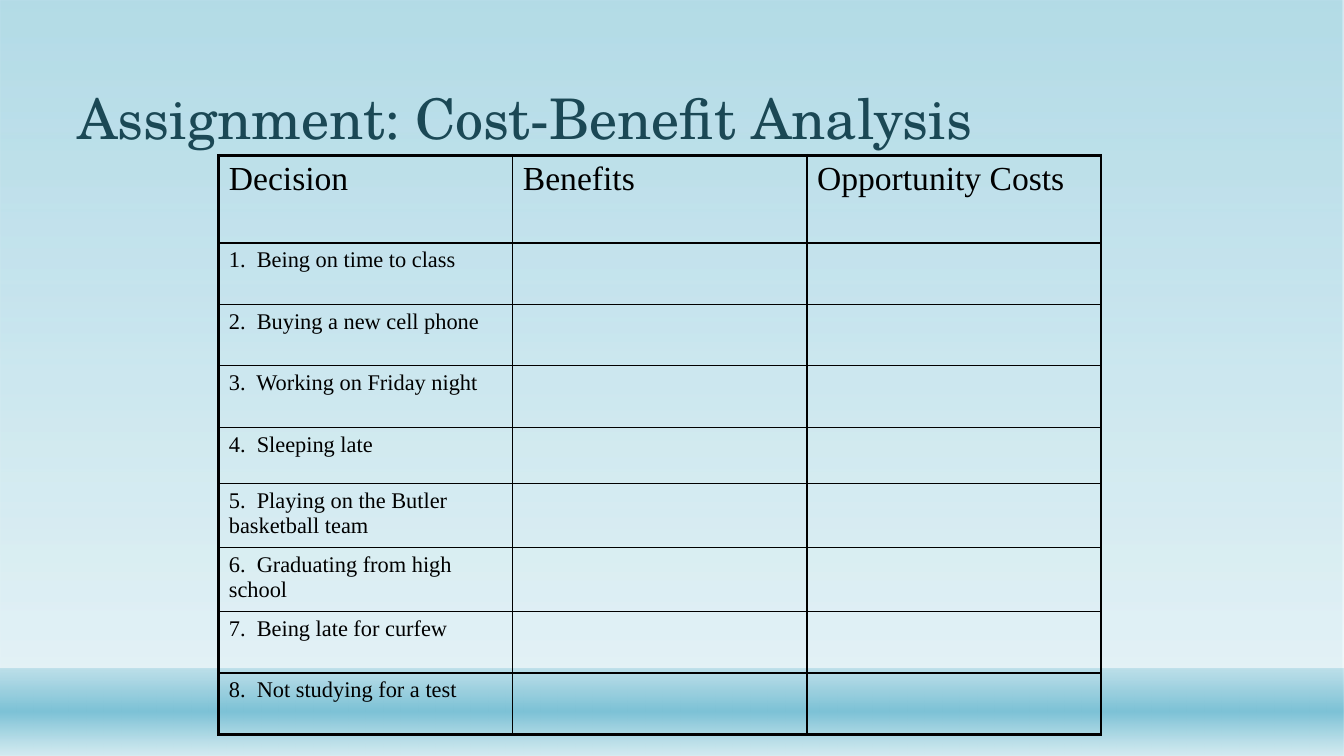
from lxml.etree import SubElement
from pptx import Presentation
from pptx.dml.color import RGBColor
from pptx.enum.shapes import MSO_SHAPE
from pptx.enum.text import MSO_ANCHOR
from pptx.oxml.ns import qn
from pptx.util import Inches, Pt

TITLE = "Assignment: Cost-Benefit Analysis"
HEADINGS = ["Decision", "Benefits", "Opportunity Costs"]
DECISIONS = [
    "Being on time to class",
    "Buying a new cell phone",
    "Working on Friday night",
    "Sleeping late",
    "Playing on the Butler basketball team",
    "Graduating from high school",
    "Being late for curfew",
    "Not studying for a test",
]
ROW_HEIGHTS = [0.87, 0.61, 0.61, 0.61, 0.56, 0.62, 0.61, 0.61, 0.61]
WIDTH, HEIGHT = 13.33, 7.5
TABLE_LEFT, TABLE_TOP, TABLE_WIDTH = 2.17, 1.54, 8.75
BAND_TOP = 6.63
SKY = [(0, "7DC2D6", 58), (88, "D4EBF1", 65)]
WATER = [(1, "7DC2D6", 38), (49, "7DC2D6", 100), (100, "D4EBF1", 89)]
INK, TEAL = "000000", "1B4855"
OUTER, INNER = 2.25, 1


def style(paragraph, face, size, color):
    """Set the font of a paragraph's runs."""
    for run in paragraph.runs:
        run.font.name = face
        run.font.size = Pt(size)
        run.font.color.rgb = RGBColor.from_string(color)


def add_backdrop(slide, top, height, stops):
    """Add a full-width rectangle with a vertical, translucent gradient."""
    backdrop = slide.shapes.add_shape(
        MSO_SHAPE.RECTANGLE, 0, Inches(top), Inches(WIDTH), Inches(height))
    backdrop.shadow.inherit = False
    backdrop.line.fill.background()
    backdrop.fill.gradient()
    gradient = backdrop.fill._xPr.find(qn("a:gradFill"))
    for child in list(gradient):
        gradient.remove(child)
    stop_list = SubElement(gradient, qn("a:gsLst"))
    for position, color, opacity in stops:
        stop = SubElement(stop_list, qn("a:gs"), pos=str(position * 1000))
        tint = SubElement(stop, qn("a:srgbClr"), val=color)
        SubElement(tint, qn("a:alpha"), val=str(opacity * 1000))
    SubElement(gradient, qn("a:lin"), ang="5400000", scaled="0")


def add_borders(cell, widths):
    """Draw the left, right, top and bottom borders of a cell."""
    properties = cell._tc.get_or_add_tcPr()
    for side, width in zip("LRTB", widths):
        border = SubElement(properties, qn(f"a:ln{side}"), w=str(Pt(width)))
        SubElement(SubElement(border, qn("a:solidFill")), qn("a:srgbClr"), val=INK)


def add_title(slide):
    """Add the slide's heading, resting on the top of the table."""
    heading = slide.shapes.add_textbox(
        Inches(0.67), Inches(0.3), Inches(12), Inches(1.25)).text_frame
    heading.word_wrap = True
    heading.vertical_anchor = MSO_ANCHOR.BOTTOM
    heading.text = TITLE
    heading.paragraphs[0].line_spacing = 0.9
    style(heading.paragraphs[0], "TeX Gyre Schola", 40, TEAL)


def add_worksheet(slide):
    """Add the table of decisions with blank columns to fill in."""
    rows = [HEADINGS] + [
        [f"{number}.  {decision}", "", ""]
        for number, decision in enumerate(DECISIONS, 1)]
    last_row, last_column = len(rows) - 1, len(HEADINGS) - 1
    worksheet = slide.shapes.add_table(
        len(rows), len(HEADINGS), Inches(TABLE_LEFT), Inches(TABLE_TOP),
        Inches(TABLE_WIDTH), Inches(sum(ROW_HEIGHTS))).table
    worksheet.first_row = worksheet.horz_banding = False
    for column in worksheet.columns:
        column.width = Inches(TABLE_WIDTH / len(HEADINGS))
    for r, (entries, height) in enumerate(zip(rows, ROW_HEIGHTS)):
        worksheet.rows[r].height = Inches(height)
        for c, entry in enumerate(entries):
            cell = worksheet.cell(r, c)
            on_edge = (c == 0, c == last_column, r == 0, r == last_row)
            add_borders(cell, [OUTER if edge else INNER for edge in on_edge])
            cell.fill.background()
            if entry:
                cell.text_frame.text = entry
                style(cell.text_frame.paragraphs[0], "Times New Roman",
                      24 if r == 0 else 16, INK)


def main():
    """Build the slide and save it."""
    deck = Presentation()
    deck.slide_width, deck.slide_height = Inches(WIDTH), Inches(HEIGHT)
    slide = deck.slides.add_slide(deck.slide_layouts[6])
    add_backdrop(slide, 0, HEIGHT, SKY)
    add_backdrop(slide, BAND_TOP, HEIGHT - BAND_TOP, WATER)
    add_title(slide)
    add_worksheet(slide)
    deck.save("out.pptx")


if __name__ == "__main__":
    main()
